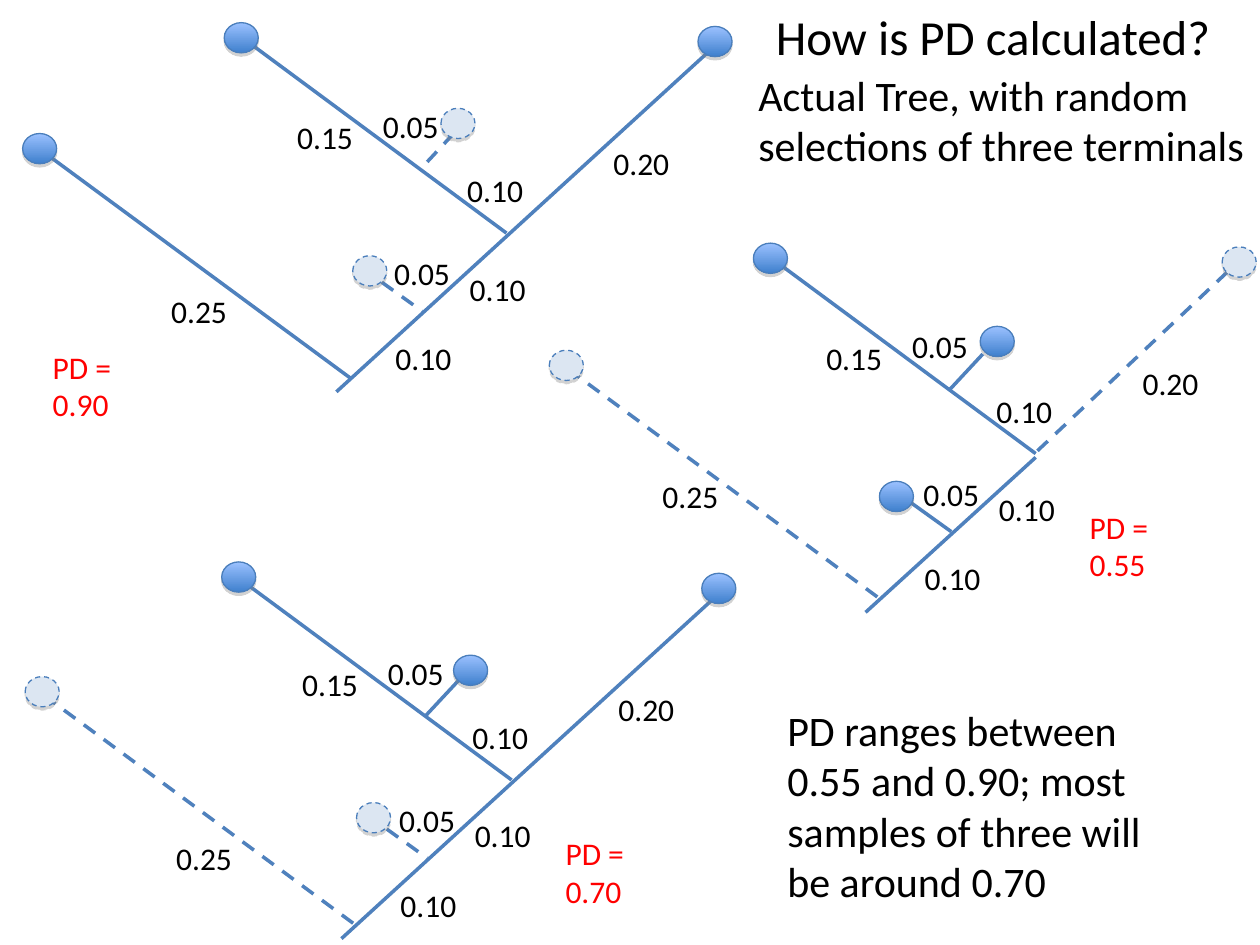
from dataclasses import dataclass

from lxml.etree import SubElement
from pptx import Presentation
from pptx.dml.color import RGBColor as RGB
from pptx.enum.dml import MSO_LINE as Dash
from pptx.enum.shapes import MSO_CONNECTOR as Connector, MSO_SHAPE as Shape
from pptx.enum.text import MSO_AUTO_SIZE as AutoSize
from pptx.oxml.ns import qn
from pptx.util import Inches, Pt


@dataclass(frozen=True)
class Theme:
    font: str = "Calibri"
    ink: RGB = RGB(0x00, 0x00, 0x00)
    result: RGB = RGB(0xFF, 0x00, 0x00)
    branch: RGB = RGB(0x4F, 0x81, 0xBD)
    outline: RGB = RGB(0x4A, 0x7E, 0xBB)
    unsampled: RGB = RGB(0xDC, 0xE6, 0xF2)
    sampled: tuple = (RGB(0x9B, 0xC1, 0xFF), RGB(0x3F, 0x80, 0xCD))
    shadow: str = "808080"
    title: int = 28
    body: int = 24
    label: int = 18


THEME = Theme()

# Tree layout, in inches from the origin of each tree
BRANCHES = {
    "outer": (0.31, 1.18, 2.78, 3.00),
    "stub": (3.03, 2.24, 3.35, 2.47),
    "upper": (1.91, 0.29, 4.02, 1.85),
    "twig": (3.60, 1.06, 3.33, 1.35),
}
WHOLE_TRUNK = (5.69, 0.35, 2.67, 3.11)
LOWER_TRUNK = (4.02, 1.88, 2.67, 3.11)
OPEN_RIGHT = (5.54, 0.41, 4.00, 1.86)
LENGTHS = [
    ("0.10", 3.04, 2.64), ("0.10", 3.63, 2.09), ("0.15", 2.26, 0.89),
    ("0.10", 3.61, 1.31), ("0.20", 4.77, 1.09), ("0.05", 2.94, 0.80),
    ("0.05", 3.03, 1.97),
]
OUTER_LENGTH = (1.26, 2.27)
TIP_SIZE = (0.27, 0.24)

# Each sample of three: origin, sampled tips, tip places, outer label, result
TREES = [
    dict(origin=(0, 0), sampled={"outer", "upper", "right"},
         tips={"outer": (0.18, 1.06), "upper": (1.78, 0.18), "twig": (3.50, 0.86),
               "stub": (2.80, 2.03), "right": (5.54, 0.21)},
         outer_label=OUTER_LENGTH, result=("PD = 0.90", 0.32, 2.71)),
    dict(origin=(4.20, 1.75), sampled={"upper", "twig", "stub"},
         tips={"outer": (0.16, 1.03), "upper": (1.78, 0.18), "twig": (3.58, 0.84),
               "stub": (2.78, 2.07), "right": (5.50, 0.21)},
         outer_label=(0.96, 1.99), result=("PD = 0.55", 4.35, 2.23)),
    dict(origin=(0.04, 4.34), sampled={"upper", "twig", "right"},
         tips={"outer": (0.16, 1.03), "upper": (1.72, 0.12), "twig": (3.56, 0.86),
               "stub": (2.79, 2.03), "right": (5.53, 0.21)},
         outer_label=OUTER_LENGTH, result=("PD = 0.70", 4.35, 2.23)),
]


def apply(target, **values):
    for name, value in values.items():
        setattr(target, name, value)


def add_text(page, box, lines, size, color=THEME.ink):
    frame = page.shapes.add_textbox(*map(Inches, box)).text_frame
    apply(frame, word_wrap=False, auto_size=AutoSize.SHAPE_TO_FIT_TEXT)
    for index, line in enumerate(lines):
        para = frame.add_paragraph() if index else frame.paragraphs[0]
        span = para.add_run()
        span.text = line
        apply(span.font, name=THEME.font, size=Pt(size))
        span.font.color.rgb = color


def add_branch(page, ends, solid):
    branch = page.shapes.add_connector(Connector.STRAIGHT, *map(Inches, ends))
    apply(branch.line, width=Pt(2), dash_style=None if solid else Dash.DASH)
    branch.line.color.rgb = THEME.branch
    SubElement(branch._element.spPr, qn("a:effectLst"))


def add_tip(page, left, top, sampled):
    tip = page.shapes.add_shape(Shape.OVAL, *map(Inches, (left, top, *TIP_SIZE)))
    if sampled:
        tip.fill.gradient()
        tip.fill.gradient_angle = 270
        for position, (stop, color) in enumerate(zip(tip.fill.gradient_stops, THEME.sampled)):
            stop.color.rgb = color
            stop.position = position
    else:
        tip.fill.solid()
        tip.fill.fore_color.rgb = THEME.unsampled
    apply(tip.line, width=Pt(0.75), dash_style=None if sampled else Dash.DASH)
    tip.line.color.rgb = THEME.outline

    # Soft grey shadow just below the tip
    tip.shadow.inherit = False
    effects = tip._element.spPr.find(qn("a:effectLst"))
    shadow = SubElement(effects, qn("a:outerShdw"), blurRad="0", dist=str(Pt(1.8)),
                        dir="5400000", rotWithShape="0")
    color = SubElement(shadow, qn("a:srgbClr"), val=THEME.shadow)
    SubElement(color, qn("a:alpha"), val="35000")


def draw_tree(page, origin, sampled, tips, outer_label, result):
    left, top = origin

    def place(*values):
        return [value + origin[index % 2] for index, value in enumerate(values)]

    # Branches: dashed where the terminal is not sampled
    for name, ends in BRANCHES.items():
        add_branch(page, place(*ends), name in sampled)
    if "right" in sampled:
        add_branch(page, place(*WHOLE_TRUNK), True)
    else:
        add_branch(page, place(*LOWER_TRUNK), True)
        add_branch(page, place(*OPEN_RIGHT), False)

    # Terminals
    for name, spot in tips.items():
        add_tip(page, *place(*spot), name in sampled)

    # Branch lengths and the resulting diversity
    for text, x, y in [*LENGTHS, ("0.25", *outer_label)]:
        add_text(page, (left + x, top + y, 0.64, 0.4), [text], THEME.label)
    text, x, y = result
    add_text(page, (left + x, top + y, 1.16, 0.4), [text], THEME.label, THEME.result)


def draw_captions(page):
    add_text(page, (6.06, 0, 3.66, 0.57), ["How is PD calculated?"], THEME.title)
    add_text(page, (5.92, 0.5, 4.06, 0.9),
             ["Actual Tree, with random", "selections of three terminals"], THEME.body)
    add_text(page, (6.15, 5.54, 3.01, 1.7),
             ["PD ranges between", "0.55 and 0.90; most",
              "samples of three will", "be around 0.70"], THEME.body)


def main():
    deck = Presentation()
    apply(deck, slide_width=Inches(10), slide_height=Inches(7.5))
    page = deck.slides.add_slide(deck.slide_layouts[6])
    for tree in TREES:
        draw_tree(page, **tree)
    draw_captions(page)
    deck.save("out.pptx")


if __name__ == "__main__":
    main()
